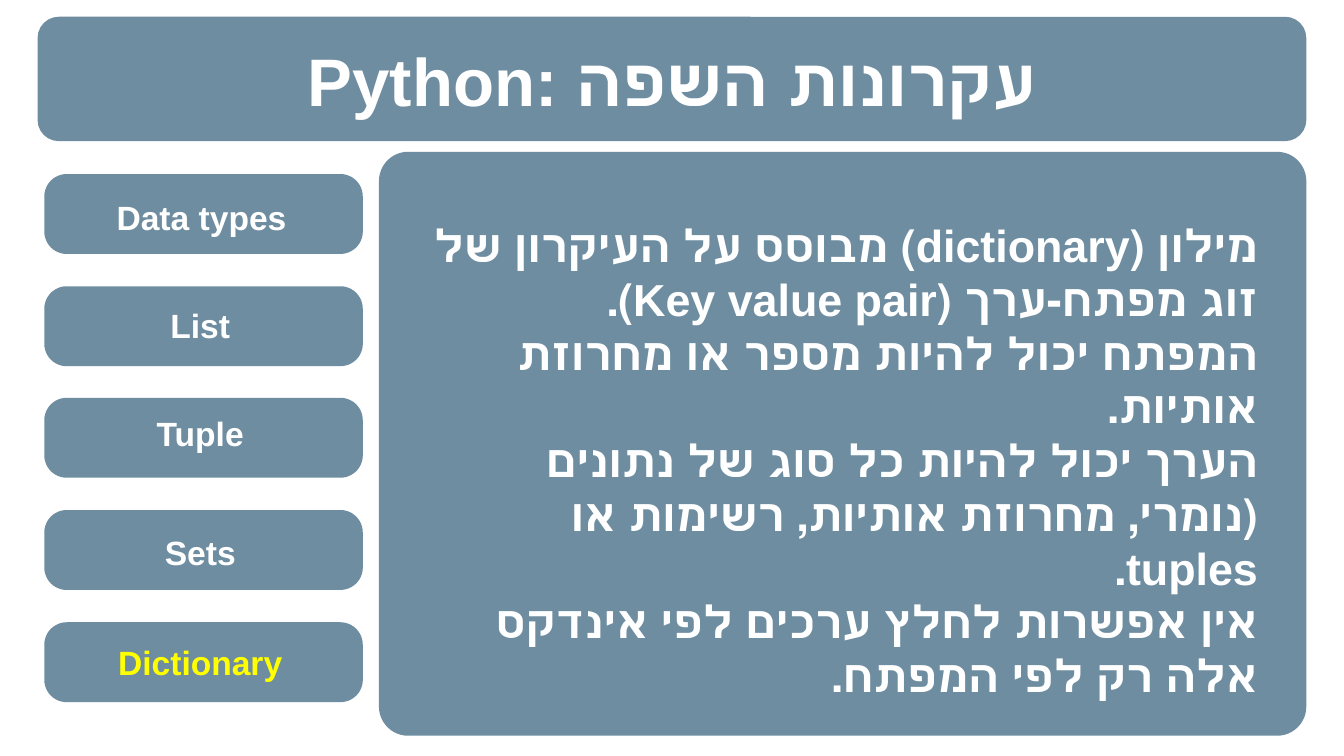
import dataclasses

import lxml.etree
import pptx
import pptx.dml.color
import pptx.enum.shapes
import pptx.enum.text
import pptx.oxml.ns
import pptx.slide
import pptx.text.text
import pptx.util

EMU_PER_PX = 4572
PANEL_COLOR = "215170"
PANEL_ALPHA = "65000"
WHITE = "FFFFFF"
YELLOW = "FFFF00"
FONT = "Arial"
PILL_TOP = 259
PILL_PITCH = 166.67
TITLE = "Python: עקרונות השפה"
BODY = [
    "מילון (dictionary) מבוסס על העיקרון של זוג מפתח-ערך (Key value pair).",
    "המפתח יכול להיות מספר או מחרוזת אותיות.",
    "הערך יכול להיות כל סוג של נתונים (נומרי, מחרוזת אותיות, רשימות או tuples.",
    "אין אפשרות לחלץ ערכים לפי אינדקס אלה רק לפי המפתח.",
]


@dataclasses.dataclass(frozen=True)
class Box:
    """Rectangle in px, two hundred to the inch."""

    left: int
    top: int
    width: int
    height: int

    def emu(self) -> list[pptx.util.Emu]:
        """Return left, top, width and height in EMU."""
        return [px(value) for value in dataclasses.astuple(self)]


@dataclasses.dataclass(frozen=True)
class Panel:
    """Translucent rounded rectangle."""

    box: Box
    corner: float


@dataclasses.dataclass(frozen=True)
class Label:
    """Menu entry with its text box."""

    text: str
    box: Box
    color: str = WHITE


PANELS = [
    Panel(Box(56, 25, 1888, 185), 0.17),
    Panel(Box(564, 226, 1380, 869), 0.05),
    *(Panel(Box(66, round(PILL_TOP + PILL_PITCH * row), 474, 119), 0.28) for row in range(5)),
]
LABELS = [
    Label("Data types", Box(30, 260, 540, 126)),
    Label("List", Box(60, 421, 476, 126)),
    Label("Tuple", Box(60, 582, 476, 126)),
    Label("Sets", Box(60, 759, 476, 126)),
    Label("Dictionary", Box(60, 923, 476, 126), YELLOW),
]


def px(value: int) -> pptx.util.Emu:
    """Turn px into EMU."""
    return pptx.util.Emu(value * EMU_PER_PX)


def rgb(color: str) -> pptx.dml.color.RGBColor:
    """Turn a hex string into a colour."""
    return pptx.dml.color.RGBColor.from_string(color)


def add_panel(slide: pptx.slide.Slide, panel: Panel) -> None:
    """Draw one translucent rounded panel."""
    kind = pptx.enum.shapes.MSO_SHAPE.ROUNDED_RECTANGLE
    shape = slide.shapes.add_shape(kind, *panel.box.emu())
    shape.adjustments[0] = panel.corner
    shape.shadow.inherit = False
    shape.line.fill.background()
    shape.fill.solid()
    shape.fill.fore_color.rgb = rgb(PANEL_COLOR)
    fill_color = shape.element.spPr.find(".//" + pptx.oxml.ns.qn("a:srgbClr"))
    lxml.etree.SubElement(fill_color, pptx.oxml.ns.qn("a:alpha"), val=PANEL_ALPHA)


def format_frame(frame: pptx.text.text.TextFrame, margin: int, middle: bool) -> None:
    """Set wrapping, insets and vertical anchor of a text frame."""
    anchor = pptx.enum.text.MSO_ANCHOR
    frame.word_wrap = True
    frame.auto_size = pptx.enum.text.MSO_AUTO_SIZE.NONE
    frame.vertical_anchor = anchor.MIDDLE if middle else anchor.TOP
    frame.margin_left = frame.margin_right = px(margin)
    frame.margin_top = frame.margin_bottom = px(margin)


def write_paragraph(
    paragraph: pptx.text.text._Paragraph, text: str, size: int, color: str = WHITE, rtl: bool = False
) -> None:
    """Write one bold run, centred or right-to-left."""
    alignment = pptx.enum.text.PP_ALIGN
    paragraph.alignment = alignment.RIGHT if rtl else alignment.CENTER
    if rtl:
        paragraph._p.get_or_add_pPr().set("rtl", "1")
    run = paragraph.add_run()
    run.text = text
    run.font.size = pptx.util.Pt(size)
    run.font.bold = True
    run.font.name = FONT
    run.font.color.rgb = rgb(color)


def place_title(slide: pptx.slide.Slide) -> None:
    """Bring the title placeholder to the front and fill it."""
    title = slide.shapes.title
    title.element.getparent().append(title.element)
    title.left, title.top, title.width, title.height = Box(66, 58, 1868, 120).emu()
    format_frame(title.text_frame, 0, True)
    write_paragraph(title.text_frame.paragraphs[0], TITLE, 36)


def add_body(slide: pptx.slide.Slide) -> None:
    """Write the right-to-left explanation."""
    frame = slide.shapes.add_textbox(*Box(636, 324, 1236, 748).emu()).text_frame
    format_frame(frame, 0, False)
    for index, text in enumerate(BODY):
        paragraph = frame.add_paragraph() if index else frame.paragraphs[0]
        write_paragraph(paragraph, text, 24, rtl=True)


def add_label(slide: pptx.slide.Slide, label: Label) -> None:
    """Write one menu entry."""
    frame = slide.shapes.add_textbox(*label.box.emu()).text_frame
    format_frame(frame, 20, True)
    write_paragraph(frame.paragraphs[0], label.text, 18, label.color)


def main() -> None:
    """Build and save the slide."""
    presentation = pptx.Presentation()
    presentation.slide_width, presentation.slide_height = px(2000), px(1125)
    slide = presentation.slides.add_slide(presentation.slide_layouts[5])
    for panel in PANELS:
        add_panel(slide, panel)
    place_title(slide)
    add_body(slide)
    for label in LABELS:
        add_label(slide, label)
    presentation.save("out.pptx")


if __name__ == "__main__":
    main()
